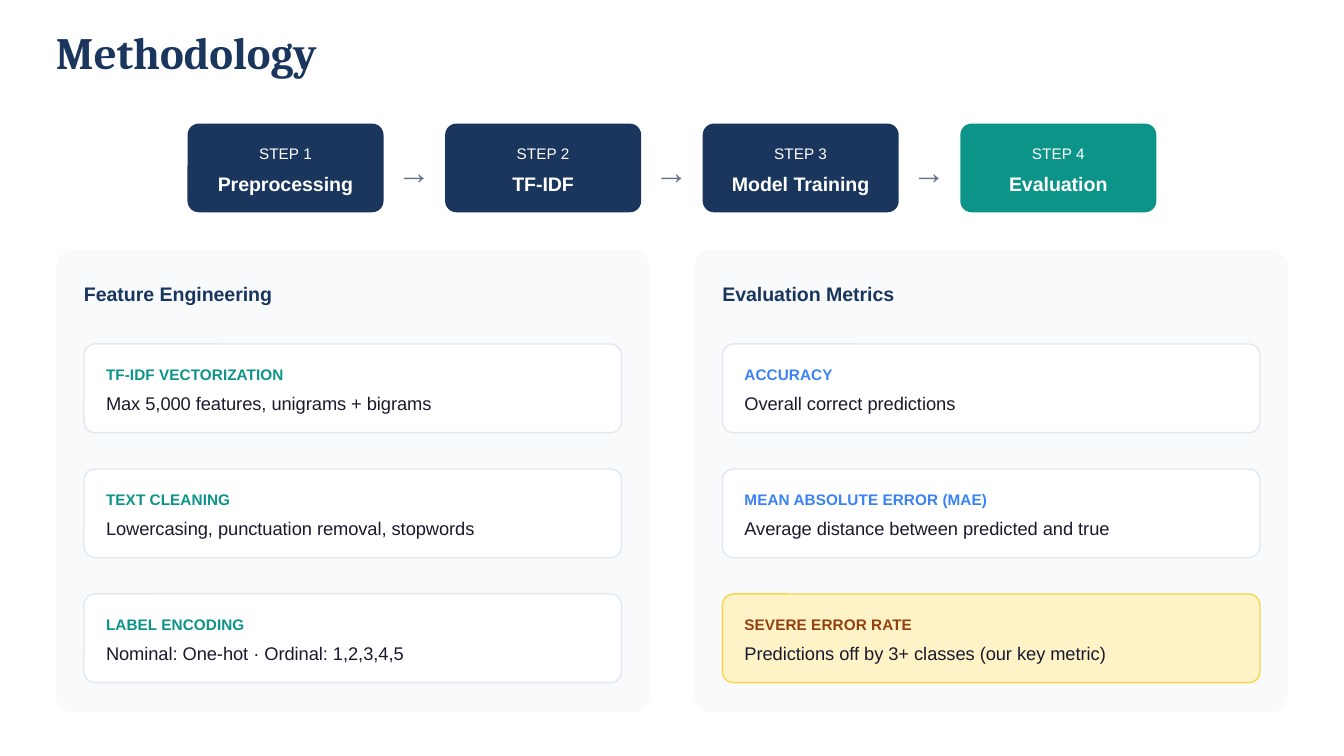
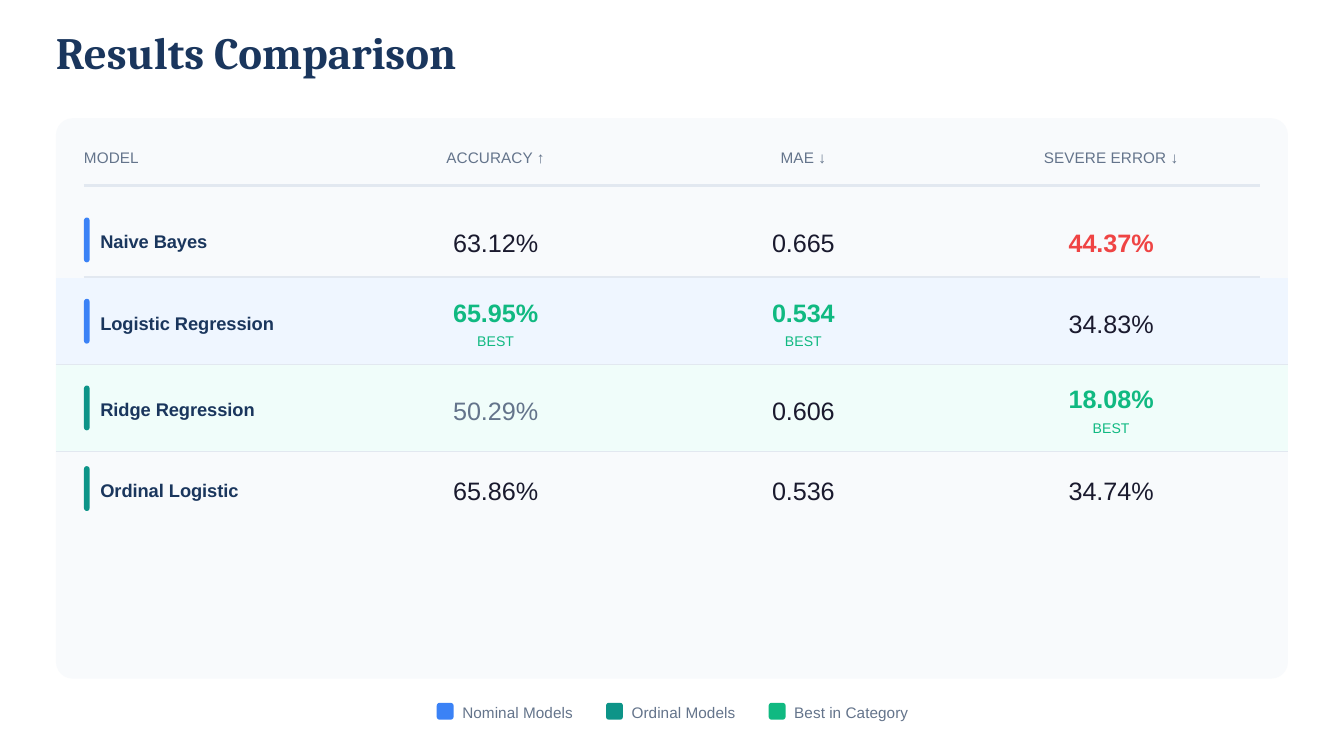
from lxml import etree
from pptx import Presentation
from pptx.dml.color import RGBColor
from pptx.enum.shapes import MSO_CONNECTOR, MSO_SHAPE
from pptx.enum.text import MSO_ANCHOR, MSO_AUTO_SIZE, PP_ALIGN
from pptx.oxml.ns import qn
from pptx.util import Inches, Pt

LEFT, CENTER = PP_ALIGN.LEFT, PP_ALIGN.CENTER
TOP, MIDDLE = MSO_ANCHOR.TOP, MSO_ANCHOR.MIDDLE
ROUNDED, STRAIGHT = MSO_SHAPE.ROUNDED_RECTANGLE, MSO_CONNECTOR.STRAIGHT
NO_GRID_STYLE = "{2D5ABB26-0587-4C30-8999-92F81FD0307C}"

COLORS = {
    "navy": "1A365D", "teal": "0D9488", "blue": "3B82F6", "green": "10B981",
    "red": "EF4444", "ink": "1A1A2E", "slate": "64748B", "white": "FFFFFF",
    "panel": "F8FAFC", "rule": "E2E8F0", "blue tint": "EFF6FF",
    "teal tint": "F0FDFA", "cream": "FEF3C7", "gold": "FCD34D", "brown": "92400E",
}
PALETTE = {name: RGBColor.from_string(value) for name, value in COLORS.items()}

# Grid: the slide is 120 columns wide
WIDTH, HEIGHT = 10, 5.625
COL = WIDTH / 120
MARGIN, PAD = 5 * COL, 2.5 * COL
CONTENT = WIDTH - 2 * MARGIN
INNER = MARGIN + PAD
PANEL_RADIUS, CARD_RADIUS = 1.5 * COL, COL


def add_box(slide, left, top, width, height, fill=None, line=None, radius=0, inset=0):
    """Add a rounded shape, or a text box if there is no fill; return its text frame."""
    place = [Inches(n) for n in (left, top, width, height)]
    if fill:
        box = slide.shapes.add_shape(ROUNDED, *place)
        box.adjustments[0] = radius / min(width, height)
        box.shadow.inherit = False
        box.fill.solid()
        box.fill.fore_color.rgb = PALETTE[fill]
        if line:
            box.line.color.rgb = PALETTE[line]
            box.line.width = Pt(0.75)
        else:
            box.line.fill.background()
    else:
        box = slide.shapes.add_textbox(*place)
    frame = box.text_frame
    frame.word_wrap = True
    frame.margin_left = Inches(inset)
    frame.margin_top = frame.margin_right = frame.margin_bottom = 0
    frame.vertical_anchor = MIDDLE if fill else TOP
    return frame


def write(frame, lines, align=LEFT, gap=0, font="Arial", leading=1.4):
    """Write (text, size, color, bold) lines as paragraphs, gap points apart."""
    for index, (text, size, color, bold) in enumerate(lines):
        para = frame.add_paragraph() if index else frame.paragraphs[0]
        para.alignment = align
        para.line_spacing = Pt(size * leading)
        para.space_before = Pt(gap if index else 0)
        span = para.add_run()
        span.text = text
        span.font.name = font
        span.font.size = Pt(size)
        span.font.bold = bold
        span.font.color.rgb = PALETTE[color]


deck = Presentation()
deck.slide_width, deck.slide_height = Inches(WIDTH), Inches(HEIGHT)

slides = []
for heading in ("Methodology", "Results Comparison"):
    slide = deck.slides.add_slide(deck.slide_layouts[5])
    title = slide.shapes.title
    title.left, title.top = Inches(MARGIN), Inches(0.25)
    title.width, title.height = Inches(4.69), Inches(0.33)
    frame = title.text_frame
    frame.auto_size = MSO_AUTO_SIZE.NONE
    frame.vertical_anchor = TOP
    frame.margin_left = frame.margin_top = frame.margin_right = frame.margin_bottom = 0
    write(frame, [(heading, 24, "navy", True)], font="Cambria", leading=1)
    slides.append(slide)
methodology, results = slides

# Methodology: the four steps
steps = ["Preprocessing", "TF-IDF", "Model Training", "Evaluation"]
STEP_WIDTH, STEP_PITCH, STEP_TOP = 17.5 * COL, 23 * COL, 0.92
first_left = (WIDTH - STEP_WIDTH - STEP_PITCH * (len(steps) - 1)) / 2
for index, step in enumerate(steps):
    left = first_left + index * STEP_PITCH
    last = index == len(steps) - 1
    frame = add_box(methodology, left, STEP_TOP, STEP_WIDTH, 0.66,
                    "teal" if last else "navy", radius=CARD_RADIUS)
    write(frame, [(f"STEP {index + 1}", 8.25, "white", False),
                  (step, 10.5, "white", True)], CENTER, gap=3)
    if not last:
        arrow = add_box(methodology, left + STEP_WIDTH + 0.1, 1.07, 0.26, 0.35)
        write(arrow, [("→", 18, "slate", False)])

# Methodology: two panels of cards
PANEL_WIDTH, PANEL_PITCH, PANEL_TOP = 53 * COL, 57 * COL, 1.86
CARD_TOP, CARD_PITCH = 2.56, 0.93
panels = [
    ("Feature Engineering", "teal", [
        ("TF-IDF VECTORIZATION", "Max 5,000 features, unigrams + bigrams"),
        ("TEXT CLEANING", "Lowercasing, punctuation removal, stopwords"),
        ("LABEL ENCODING", "Nominal: One-hot · Ordinal: 1,2,3,4,5"),
    ]),
    ("Evaluation Metrics", "blue", [
        ("ACCURACY", "Overall correct predictions"),
        ("MEAN ABSOLUTE ERROR (MAE)", "Average distance between predicted and true"),
        ("SEVERE ERROR RATE", "Predictions off by 3+ classes (our key metric)"),
    ]),
]
for index, (heading, accent, cards) in enumerate(panels):
    left = MARGIN + index * PANEL_PITCH
    add_box(methodology, left, PANEL_TOP, PANEL_WIDTH, 3.44, "panel", radius=PANEL_RADIUS)
    write(add_box(methodology, left + PAD, PANEL_TOP + PAD, 4, 0.2),
          [(heading, 10.5, "navy", True)])
    for row, (label, detail) in enumerate(cards):
        fill, line, color = "white", "rule", accent
        if label == "SEVERE ERROR RATE":
            fill, line, color = "cream", "gold", "brown"
        frame = add_box(methodology, left + PAD, CARD_TOP + row * CARD_PITCH,
                        PANEL_WIDTH - 2 * PAD, 0.66, fill, line, CARD_RADIUS, inset=0.14)
        write(frame, [(label, 8.25, color, True), (detail, 9.75, "ink", False)], gap=3)

# Results: the table on its panel
add_box(results, MARGIN, 0.88, CONTENT, 4.17, "panel", radius=PANEL_RADIUS)

headers = ["MODEL", "ACCURACY ↑", "MAE ↓", "SEVERE ERROR ↓"]
models = [  # name, bar color, row tint, values, color of each value
    ("Naive Bayes", "blue", None, ["63.12%", "0.665", "44.37%"], ["ink", "ink", "red"]),
    ("Logistic Regression", "blue", "blue tint", ["65.95%", "0.534", "34.83%"],
     ["green", "green", "ink"]),
    ("Ridge Regression", "teal", "teal tint", ["50.29%", "0.606", "18.08%"],
     ["slate", "ink", "green"]),
    ("Ordinal Logistic", "teal", None, ["65.86%", "0.536", "34.74%"], ["ink"] * 3),
]
TABLE_TOP = 0.88
ROW_HEIGHTS = [0.62, 0.57, 0.64, 0.65, 0.55]
VALUE_WIDTH, END_MARGIN = 2.29, 0.17
column_widths = [CONTENT - 3 * VALUE_WIDTH - END_MARGIN,
                 VALUE_WIDTH, VALUE_WIDTH, VALUE_WIDTH + END_MARGIN]

table = results.shapes.add_table(
    len(models) + 1, len(headers), Inches(MARGIN), Inches(TABLE_TOP),
    Inches(CONTENT), Inches(sum(ROW_HEIGHTS))).table
table.first_row = table.horz_banding = False
table._tbl.tblPr.find(qn("a:tableStyleId")).text = NO_GRID_STYLE
for column, width in zip(table.columns, column_widths):
    column.width = Inches(width)
for row, height in zip(table.rows, ROW_HEIGHTS):
    row.height = Inches(height)

rows = [(None, [[(header, 8.25, "slate", False)] for header in headers])]
for name, bar, tint, values, colors in models:
    cells = [[(name, 9.75, "navy", True)]]
    for value, color in zip(values, colors):
        lines = [(value, 13.5, color, color in ("green", "red"))]
        if color == "green":
            lines.append(("BEST", 7.5, "green", False))
        cells.append(lines)
    rows.append((tint, cells))

for r, (tint, cells) in enumerate(rows):
    for c, lines in enumerate(cells):
        cell = table.cell(r, c)
        cell.margin_left = Inches(0 if c else (0.33 if r else PAD))
        cell.margin_right = Inches(END_MARGIN if c == len(headers) - 1 else 0)
        cell.margin_top = Inches(0 if r else 0.2)
        cell.margin_bottom = 0
        cell.vertical_anchor = MIDDLE if r else TOP
        if tint:
            cell.fill.solid()
            cell.fill.fore_color.rgb = PALETTE[tint]
        else:
            cell.fill.background()
        write(cell.text_frame, lines, CENTER if c else LEFT, gap=1.5)

# Results: rules between the rows and a bar beside each model
for left, y, weight in [(INNER, 1.38, 1.5), (INNER, 2.06, 0.75),
                        (MARGIN, 2.71, 0.75), (MARGIN, 3.36, 0.75)]:
    rule = results.shapes.add_connector(
        STRAIGHT, Inches(left), Inches(y), Inches(WIDTH - left), Inches(y))
    rule.line.color.rgb = PALETTE["rule"]
    rule.line.width = Pt(weight)
    etree.SubElement(rule._element.spPr, qn("a:effectLst"))

BAR_WIDTH, BAR_HEIGHT = COL / 2, 4 * COL
for index, model in enumerate(models, start=1):
    middle = TABLE_TOP + sum(ROW_HEIGHTS[:index]) + ROW_HEIGHTS[index] / 2
    add_box(results, INNER, middle - BAR_HEIGHT / 2, BAR_WIDTH, BAR_HEIGHT,
            model[1], radius=BAR_WIDTH / 2)

# Results: legend
SWATCH = 1.5 * COL
for left, label, color in [(3.25, "Nominal Models", "blue"),
                           (4.51, "Ordinal Models", "teal"),
                           (5.72, "Best in Category", "green")]:
    add_box(results, left, 5.23, SWATCH, SWATCH, color, radius=COL / 4)
    write(add_box(results, left + 0.19, 5.21, 1, 0.16), [(label, 8.25, "slate", False)])

deck.save("out.pptx")
